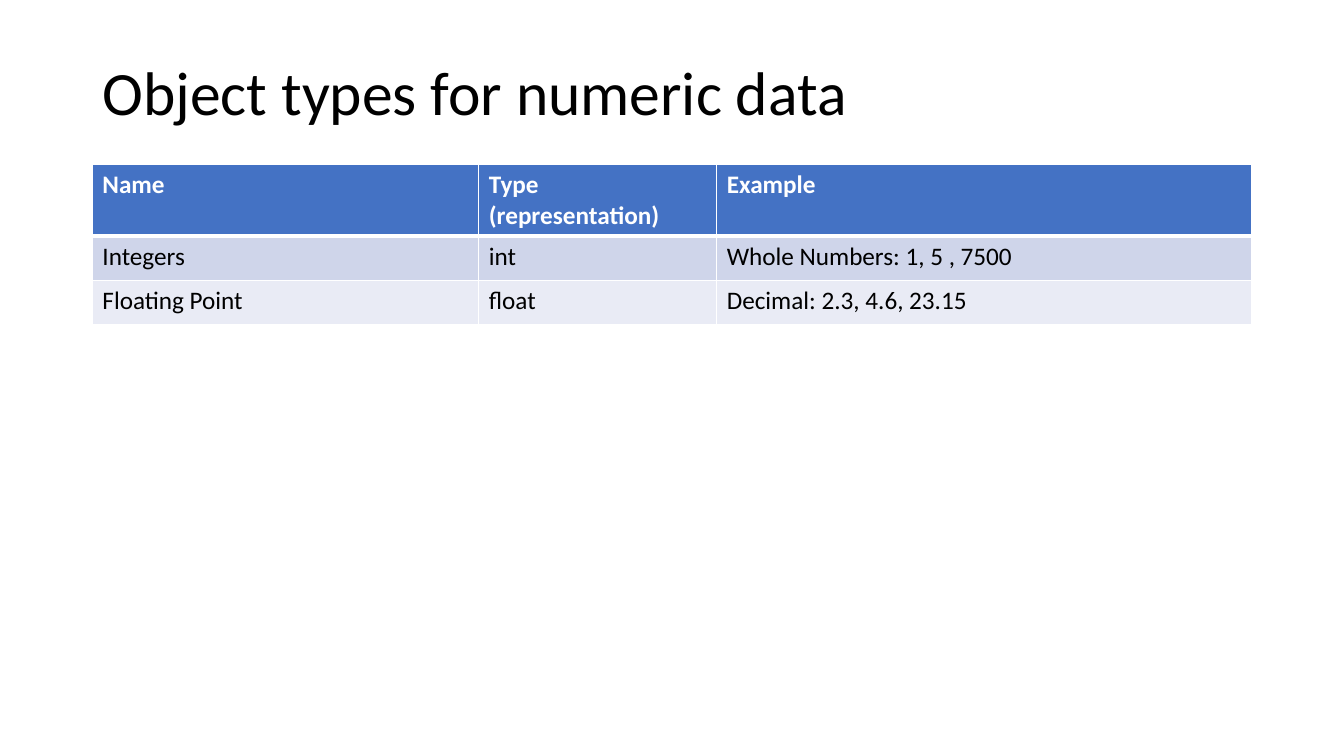
from dataclasses import dataclass

from lxml import etree
from pptx import Presentation
from pptx.dml.color import RGBColor
from pptx.enum import text
from pptx.oxml import ns
from pptx.util import Pt

TITLE = "Object types for numeric data"
ROWS = [
    ("Name", "Type (representation)", "Example"),
    ("Integers", "int", "Whole Numbers: 1, 5 , 7500"),
    ("Floating Point", "float", "Decimal: 2.3, 4.6, 23.15"),
]
COL_WIDTHS = (276, 170, 382)
ROW_HEIGHTS = (50.4, 31.68, 31.68)
LEFT, TITLE_TOP, TITLE_HEIGHT, TABLE_TOP = 66, 28.75, 78.5, 117.5


@dataclass(frozen=True)
class Theme:
    font: str = "Calibri"
    title_size: int = 44
    cell_size: int = 18
    ink: str = "000000"
    white: str = "FFFFFF"
    row_fills: tuple = ("4472C4", "CFD5EA", "E9EBF5")
    rule: int = 1
    header_rule: int = 3


theme = Theme()


def style(p, size, color, bold=False):
    p.font.name = theme.font
    p.font.size = Pt(size)
    p.font.bold = bold
    p.font.color.rgb = RGBColor.from_string(color)


def add_border(cell, side, width):
    ln = etree.SubElement(cell._tc.get_or_add_tcPr(), ns.qn(f"a:ln{side}"), w=str(Pt(width)))
    fill = etree.SubElement(ln, ns.qn("a:solidFill"))
    etree.SubElement(fill, ns.qn("a:srgbClr"), val=theme.white)


def add_title(slide, width):
    sp = slide.shapes.title
    sp.left, sp.top, sp.width, sp.height = map(Pt, (LEFT, TITLE_TOP, width, TITLE_HEIGHT))
    tf = sp.text_frame
    tf.text = TITLE
    tf.word_wrap = True
    tf.auto_size = text.MSO_AUTO_SIZE.NONE
    tf.vertical_anchor = text.MSO_ANCHOR.MIDDLE
    p = tf.paragraphs[0]
    p.alignment = text.PP_ALIGN.LEFT
    p.line_spacing = 0.9
    style(p, theme.title_size, theme.ink)


def add_types_table(slide, width):
    frame = slide.shapes.add_table(
        len(ROWS), len(COL_WIDTHS), Pt(LEFT), Pt(TABLE_TOP), Pt(width), Pt(sum(ROW_HEIGHTS)))
    table = frame.table
    for col, col_width in zip(table.columns, COL_WIDTHS):
        col.width = Pt(col_width)
    for i, (row, height) in enumerate(zip(table.rows, ROW_HEIGHTS)):
        row.height = Pt(height)
        header = i == 0
        rules = {
            "L": theme.rule,
            "R": theme.rule,
            "T": theme.header_rule if i == 1 else theme.rule,
            "B": theme.header_rule if header else theme.rule,
        }
        for cell, words in zip(row.cells, ROWS[i]):
            cell.text = words
            for side, rule in rules.items():
                add_border(cell, side, rule)
            cell.fill.solid()
            cell.fill.fore_color.rgb = RGBColor.from_string(theme.row_fills[i])
            style(cell.text_frame.paragraphs[0], theme.cell_size,
                  theme.white if header else theme.ink, header)


def main():
    prs = Presentation()
    prs.slide_width, prs.slide_height = Pt(960), Pt(540)
    slide = prs.slides.add_slide(prs.slide_layouts[5])
    width = sum(COL_WIDTHS)
    add_title(slide, width)
    add_types_table(slide, width)
    prs.save("out.pptx")


if __name__ == "__main__":
    main()
